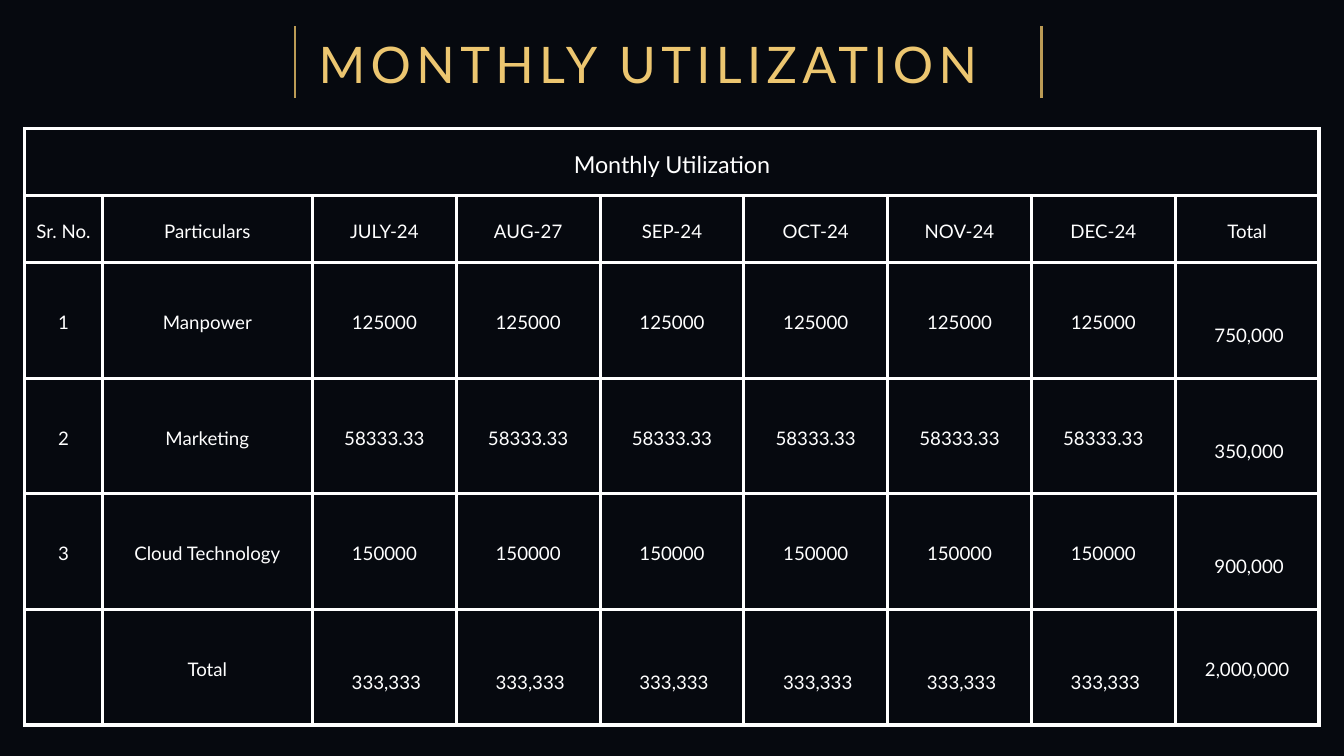
import pptx
import pptx.dml.color
import pptx.enum.shapes
import pptx.enum.text
import pptx.oxml
import pptx.oxml.ns
import pptx.util
from pptx.util import Inches

GOLD, DARK_GOLD, WHITE, NAVY = "ECC670", "BB9B55", "FFFFFF", "06090F"


def rgb(value):
    return pptx.dml.color.RGBColor.from_string(value)


def add_borders(cell, color, width):
    """Draw all four edges of a table cell, width in points."""
    tcPr = cell._tc.get_or_add_tcPr()
    for i, edge in enumerate(("lnL", "lnR", "lnT", "lnB")):
        tcPr.insert(i, pptx.oxml.parse_xml(
            f'<a:{edge} {pptx.oxml.ns.nsdecls("a")} w="{pptx.util.Pt(width)}">'
            f'<a:solidFill><a:srgbClr val="{color}"/></a:solidFill></a:{edge}>'))


prs = pptx.Presentation()
prs.slide_width, prs.slide_height = Inches(20), Inches(11.25)
s = prs.slides.add_slide(prs.slide_layouts[6])
s.background.fill.solid()
s.background.fill.fore_color.rgb = rgb(NAVY)

# Bars on either side of the title
for x in (4.39, 15.5):
    bar = s.shapes.add_connector(pptx.enum.shapes.MSO_CONNECTOR.STRAIGHT,
                                 Inches(x), Inches(1.46), Inches(x), Inches(0.39))
    bar.line.color.rgb = rgb(DARK_GOLD)
    bar.line.width = pptx.util.Pt(3)
    bar._element.spPr.append(pptx.oxml.parse_xml(
        f'<a:effectLst {pptx.oxml.ns.nsdecls("a")}/>'))

# Utilization table
months = ["JULY-24", "AUG-27", "SEP-24", "OCT-24", "NOV-24", "DEC-24"]
rows = [
    ["Monthly Utilization"] + [""] * 8,
    ["Sr. No.", "Particulars", *months, "Total"],
    ["1", "Manpower"] + ["125000"] * 6 + ["750,000"],
    ["2", "Marketing"] + ["58333.33"] * 6 + ["350,000"],
    ["3", "Cloud Technology"] + ["150000"] * 6 + ["900,000"],
    ["", "Total"] + ["333,333"] * 6 + ["2,000,000"],
]
widths = [1.15, 3.13] + [2.14] * 7
heights = [1, 1] + [1.72] * 4

table = s.shapes.add_table(len(rows), len(widths), Inches(0.37), Inches(1.91),
                           Inches(sum(widths)), Inches(sum(heights))).table
table.first_row = table.horz_banding = False
for column, width in zip(table.columns, widths):
    column.width = Inches(width)
for row, height in zip(table.rows, heights):
    row.height = Inches(height)
table.cell(0, 0).merge(table.cell(0, len(widths) - 1))

for i, values in enumerate(rows):
    size, spacing = (25, 35) if i == 0 else (20, 28)
    for j, value in enumerate(values):
        cell = table.cell(i, j)
        cell.fill.background()
        add_borders(cell, WHITE, 3.75)
        cell.vertical_anchor = pptx.enum.text.MSO_ANCHOR.MIDDLE
        cell.margin_left = cell.margin_right = Inches(0.08)
        cell.margin_top = cell.margin_bottom = Inches(0.08)
        # Row and column sums sit one half line lower than the other values
        if "," in value and value != "2,000,000":
            cell.margin_top, cell.margin_left = Inches(0.47), Inches(0.14)
        if not value:
            continue
        p = cell.text_frame.paragraphs[0]
        p.text = value
        p.alignment = pptx.enum.text.PP_ALIGN.CENTER
        p.line_spacing = pptx.util.Pt(spacing)
        p.font.name = "Lato"
        p.font.size = pptx.util.Pt(size)
        p.font.color.rgb = rgb(WHITE)

# Title
tf = s.shapes.add_textbox(Inches(4.74), Inches(0.44), Inches(10.52), Inches(0.94)).text_frame
tf.word_wrap = True
tf.auto_size = pptx.enum.text.MSO_AUTO_SIZE.SHAPE_TO_FIT_TEXT
tf.margin_left = tf.margin_right = tf.margin_top = tf.margin_bottom = 0
p = tf.paragraphs[0]
p.line_spacing = pptx.util.Pt(69.1)
p.font.name = "Lato"
p.font.size = pptx.util.Pt(54)
p.font.color.rgb = rgb(GOLD)
r = p.add_run()
r.text = "MONTHLY UTILIZATION"
r._r.get_or_add_rPr().set("spc", "580")

prs.save("out.pptx")
